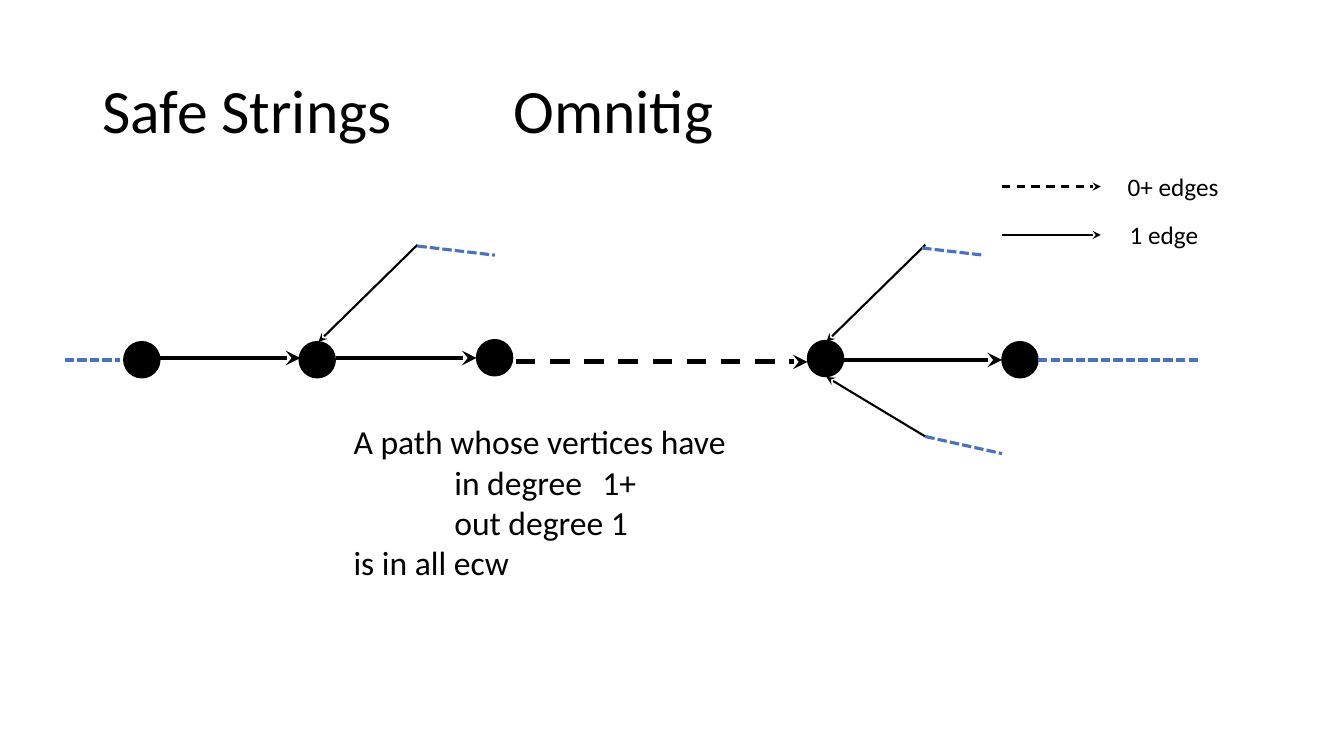
from lxml import etree
from pptx import Presentation
from pptx.dml.color import RGBColor
from pptx.enum.dml import MSO_LINE
from pptx.enum.shapes import MSO_CONNECTOR, MSO_SHAPE
from pptx.enum.text import MSO_ANCHOR
from pptx.oxml.ns import qn
from pptx.util import Cm, Pt

BLACK = RGBColor(0x00, 0x00, 0x00)
BLUE = RGBColor(0x44, 0x72, 0xC4)
STRAIGHT = MSO_CONNECTOR.STRAIGHT
OVAL = MSO_SHAPE.OVAL
SOLID, DASH, DOTS = MSO_LINE.SOLID, MSO_LINE.DASH, MSO_LINE.SQUARE_DOT
TOP, MIDDLE = MSO_ANCHOR.TOP, MSO_ANCHOR.MIDDLE
DIAMETER = 0.91

prs = Presentation()
prs.slide_width, prs.slide_height = Cm(33.87), Cm(19.05)
s = prs.slides.add_slide(prs.slide_layouts[6])


def add_line(ends, color, width, dash, arrow):
    line = s.shapes.add_connector(STRAIGHT, *[Cm(v) for v in ends])
    line.line.color.rgb = color
    line.line.width = Pt(width)
    line.line.dash_style = dash
    if arrow:
        etree.SubElement(line.line._ln, qn("a:tailEnd"), type="stealth")
    etree.SubElement(line._element.spPr, qn("a:effectLst"))


def add_text(box, paragraphs, size, anchor=TOP, spacing=1.0, tabs=()):
    """Add a text box; tabs are stop positions in cm from the text edge."""
    tf = s.shapes.add_textbox(*[Cm(v) for v in box]).text_frame
    tf.word_wrap = True
    tf.vertical_anchor = anchor
    for i, text in enumerate(paragraphs):
        p = tf.paragraphs[0] if i == 0 else tf.add_paragraph()
        if tabs:
            tab_list = etree.SubElement(p._p.get_or_add_pPr(), qn("a:tabLst"))
            for tab in tabs:
                etree.SubElement(tab_list, qn("a:tab"), pos=str(Cm(tab)), algn="l")
        p.line_spacing = spacing
        r = p.add_run()
        r.text = text
        for name, value in {"size": Pt(size), "name": "Calibri"}.items():
            setattr(r.font, name, value)
        r.font.color.rgb = BLACK


add_text((2.33, 1.02, 29.21, 3.68), ["Safe Strings\tOmnitig"], 44,
         MIDDLE, 0.9, [10.36])

# Vertices of the path
for x, y in [(3.12, 8.61), (7.54, 8.61), (12.01, 8.56), (20.35, 8.58), (25.25, 8.61)]:
    vertex = s.shapes.add_shape(OVAL, Cm(x), Cm(y), Cm(DIAMETER), Cm(DIAMETER))
    vertex.shadow.inherit = False
    vertex.fill.solid()
    vertex.fill.fore_color.rgb = BLACK
    vertex.line.color.rgb = BLACK
    vertex.line.width = Pt(1)

# Edges along the path
for x1, x2, y, dash in [
    (4.04, 7.57, 9.02, SOLID),
    (8.46, 12.01, 9.02, SOLID),
    (13, 20.35, 9.12, DASH),
    (21.26, 25.25, 9.07, SOLID),
]:
    add_line((x1, y, x2, y), BLACK, 3.5, dash, True)

# Edges that enter the path from outside
for ends in [
    (10.52, 6.17, 8.03, 8.61),
    (23.32, 6.17, 20.83, 8.61),
    (23.32, 11, 20.83, 9.5),
]:
    add_line(ends, BLACK, 1.5, SOLID, True)

# Dotted continuations
for ends in [
    (1.63, 9.07, 3.02, 9.07),
    (26.16, 9.07, 30.18, 9.07),
    (23.32, 11, 25.25, 11.43),
    (23.24, 6.25, 24.79, 6.43),
    (10.52, 6.2, 12.47, 6.43),
]:
    add_line(ends, BLUE, 2.25, DOTS, False)

# Legend
for label, x, y, dash in [("0+ edges", 28.17, 4.7, DASH), ("1 edge", 28.22, 5.92, SOLID)]:
    add_line((25.25, y, 27.74, y), BLACK, 1.5, dash, True)
    add_text((x, y - 0.51, 5.65, 1.02), [label], 18)

add_text(
    (8.66, 10.49, 12.17, 4.37),
    ["A path whose vertices have", "\tin degree\t1+", "\tout degree 1", "is in all ecw"],
    24,
    tabs=[2.54, 6.27],
)

prs.save("out.pptx")
